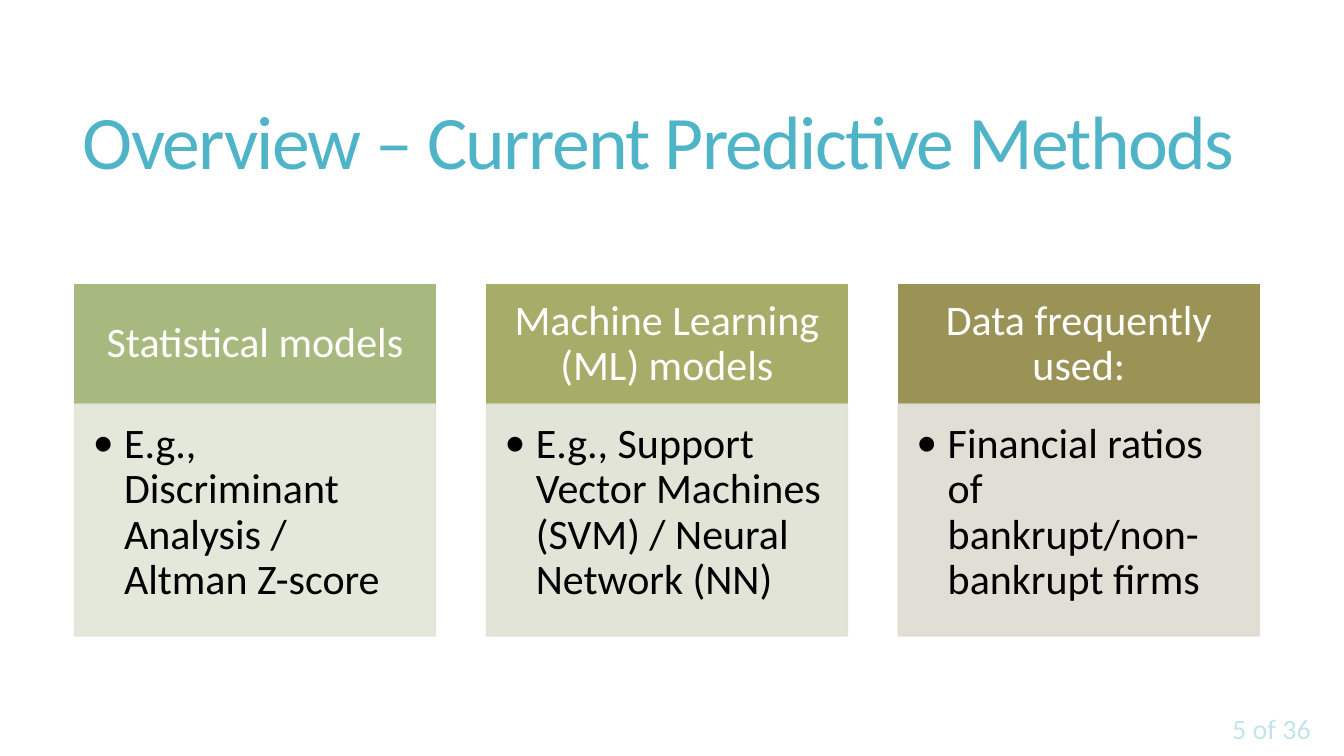
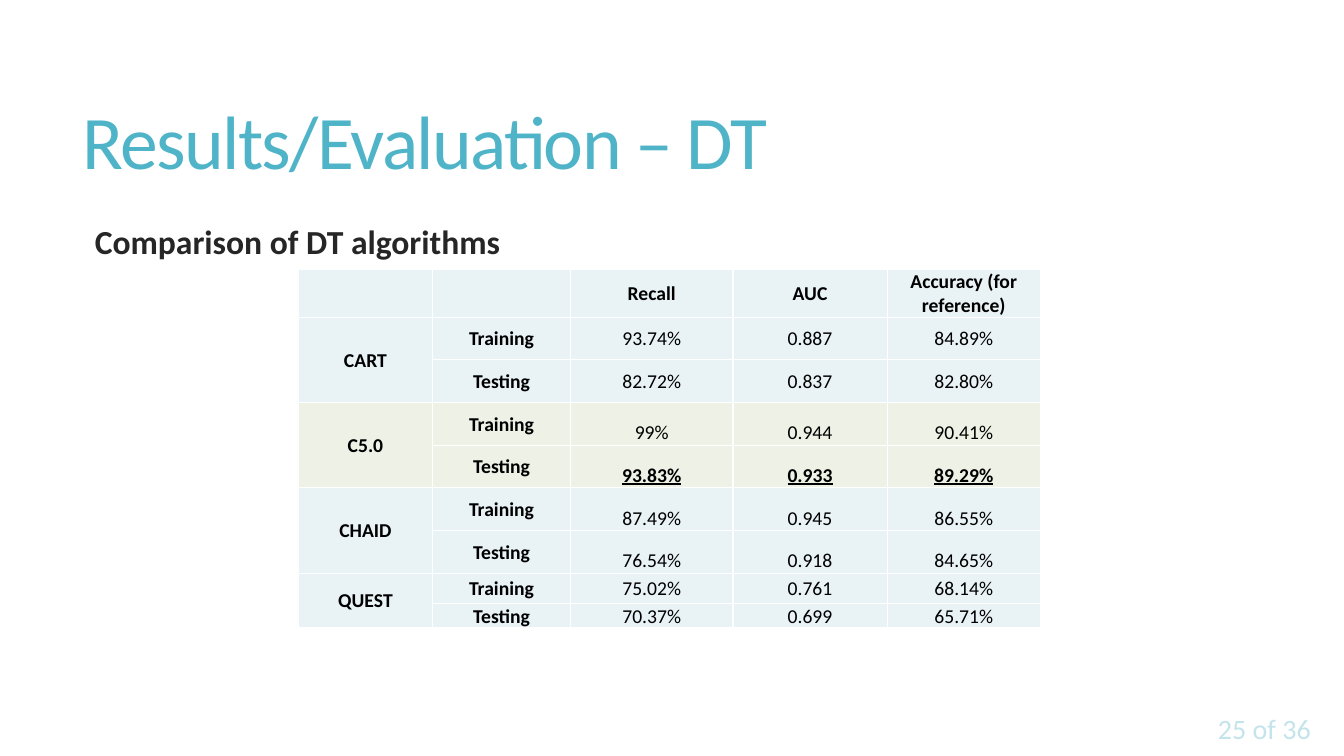
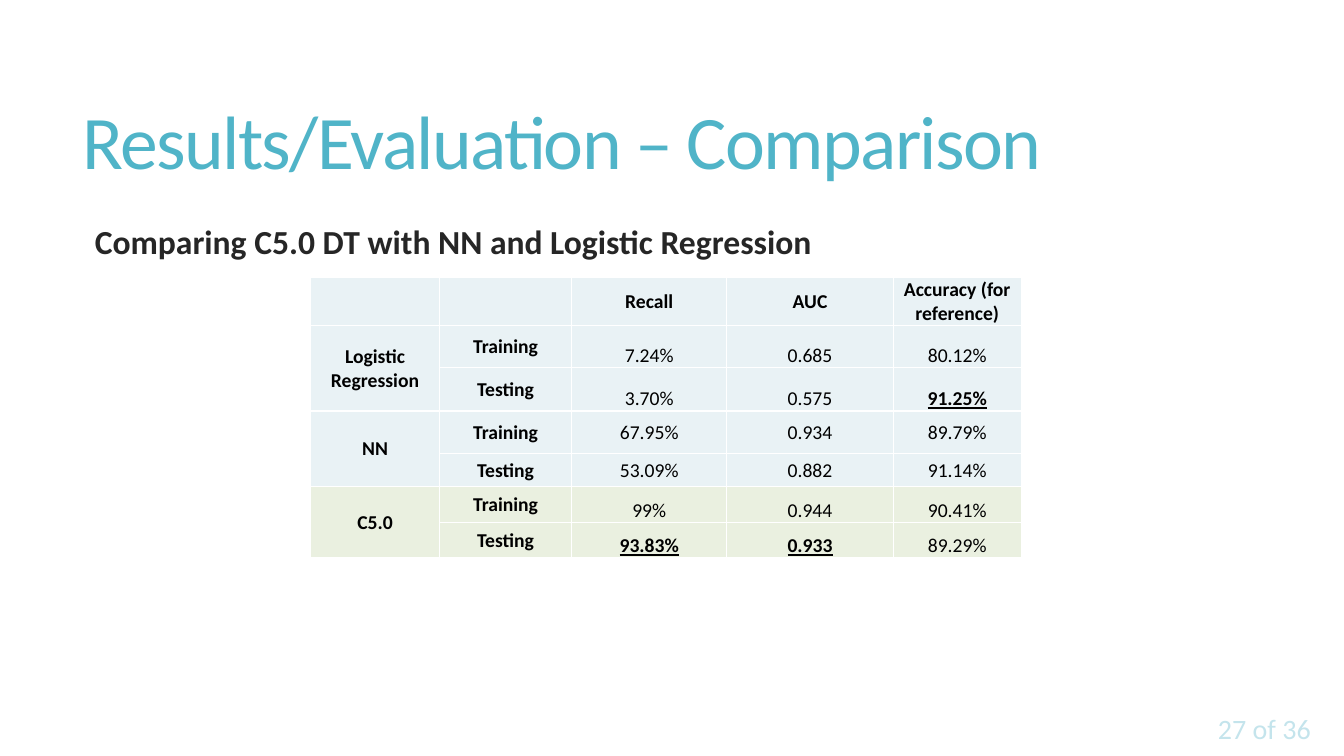
from lxml.etree import SubElement
from pptx import Presentation
from pptx.dml.color import RGBColor
from pptx.enum.shapes import MSO_SHAPE
from pptx.enum.text import MSO_ANCHOR, MSO_AUTO_SIZE, PP_ALIGN
from pptx.oxml.ns import qn
from pptx.util import Inches, Pt

COLORS = {
    "title": "50B4C8", "subtitle": "262626", "page": "C4E4EC",
    "white": "FFFFFF", "black": "000000",
    "plain": "E9F2F5", "best_dt": "EEF1E5", "best_model": "EAF0E0",
}
FONT = "Calibri"
TOTAL_PAGES = 36
MIDDLE, BOTTOM = MSO_ANCHOR.MIDDLE, MSO_ANCHOR.BOTTOM
HEADINGS = ["", "", "Recall", "AUC", "Accuracy (for reference)"]
PHASES = ["Training", "Testing"]

METHODS = [
    ("Statistical models", "E.g., Discriminant Analysis / Altman Z-score", "A8B97F", "E1E6D8"),
    ("Machine Learning (ML) models",
     "E.g., Support Vector Machines (SVM) / Neural Network (NN)", "A7AC68", "E1E2D4"),
    ("Data frequently used:", "Financial ratios of bankrupt/non-bankrupt firms", "9B9256", "DEDCD1"),
]

RESULTS = [
    {
        "title": "Results/Evaluation – DT", "page": 25,
        "subtitle": "Comparison of DT algorithms",
        "left": 2.96, "top": 2.67,
        "columns": [1.33, 1.37, 1.61, 1.53, 1.52],
        "rows": [0.44] + [0.42, 0.43, 0.42] * 2 + [0.3, 0.19],
        "best": {"93.83%", "0.933", "89.29%"},
        "models": [
            ("CART", "plain", MIDDLE, [["93.74%", "0.887", "84.89%"], ["82.72%", "0.837", "82.80%"]]),
            ("C5.0", "best_dt", BOTTOM, [["99%", "0.944", "90.41%"], ["93.83%", "0.933", "89.29%"]]),
            ("CHAID", "plain", BOTTOM, [["87.49%", "0.945", "86.55%"], ["76.54%", "0.918", "84.65%"]]),
            ("QUEST", "plain", MIDDLE, [["75.02%", "0.761", "68.14%"], ["70.37%", "0.699", "65.71%"]]),
        ],
    },
    {
        "title": "Results/Evaluation – Comparison", "page": 27,
        "subtitle": "Comparing C5.0 DT with NN and Logistic Regression",
        "left": 3.08, "top": 2.75,
        "columns": [1.28, 1.31, 1.54, 1.65, 1.27],
        "rows": [0.44, 0.42, 0.43, 0.42, 0.33, 0.36, 0.35],
        "best": {"91.25%", "93.83%", "0.933"},
        "models": [
            ("Logistic Regression", "plain", BOTTOM,
             [["7.24%", "0.685", "80.12%"], ["3.70%", "0.575", "91.25%"]]),
            ("NN", "plain", MIDDLE, [["67.95%", "0.934", "89.79%"], ["53.09%", "0.882", "91.14%"]]),
            ("C5.0", "best_model", BOTTOM, [["99%", "0.944", "90.41%"], ["93.83%", "0.933", "89.29%"]]),
        ],
    },
]


def rgb(color):
    return RGBColor.from_string(COLORS.get(color, color))


def set_all(target, values):
    for name, value in values.items():
        setattr(target, name, value)


def set_margins(target, left, top, right, bottom):
    set_all(target, {"margin_left": Inches(left), "margin_top": Inches(top),
                     "margin_right": Inches(right), "margin_bottom": Inches(bottom)})


def write(frame, text, size, color, spacing=1.0, align=PP_ALIGN.LEFT, **styles):
    paragraph = frame.paragraphs[0]
    set_all(paragraph, {"line_spacing": spacing, "alignment": align})
    run = paragraph.add_run()
    run.text = text
    set_all(run.font, {"name": FONT, "size": Pt(size), **styles})
    run.font.color.rgb = rgb(color)
    return paragraph


def add_text(slide, box, text, size, color, anchor=MSO_ANCHOR.TOP, **styles):
    frame = slide.shapes.add_textbox(*map(Inches, box)).text_frame
    set_all(frame, {"word_wrap": True, "vertical_anchor": anchor})
    write(frame, text, size, color, **styles)
    return frame


def add_slide(deck, title, page):
    slide = deck.slides.add_slide(deck.slide_layouts[5])
    heading = slide.shapes.title
    set_all(heading, {"left": Inches(0.72), "top": Inches(0.55),
                      "width": Inches(11.78), "height": Inches(1.81)})
    set_all(heading.text_frame, {"word_wrap": True, "vertical_anchor": MIDDLE,
                                 "auto_size": MSO_AUTO_SIZE.NONE})
    line = write(heading.text_frame, title, 54, "title", 0.85)
    line.runs[0].font._element.set("spc", "-120")
    add_text(slide, (11.1, 6.98, 2, 0.5), f"{page} of {TOTAL_PAGES}", 20, "page",
             MIDDLE, align=PP_ALIGN.RIGHT)
    return slide


def add_panel(slide, box, color, margins, anchor, opacity=100):
    panel = slide.shapes.add_shape(MSO_SHAPE.RECTANGLE, *map(Inches, box))
    panel.shadow.inherit = False
    panel.fill.solid()
    panel.line.width = Pt(1)
    panel.line.fill.solid()
    for fill in (panel.fill, panel.line.fill):
        fill.fore_color.rgb = rgb(color)
    if opacity < 100:
        for tint in panel._element.spPr.iter(qn("a:srgbClr")):
            SubElement(tint, qn("a:alpha"), val=str(opacity * 1000))
    set_all(panel.text_frame, {"word_wrap": True, "vertical_anchor": anchor})
    set_margins(panel.text_frame, *margins)
    return panel.text_frame


def add_methods(deck):
    slide = add_slide(deck, "Overview – Current Predictive Methods", 5)
    left, right, top, width, head, body = 0.74, 12.49, 2.82, 3.58, 1.19, 2.3
    pitch = (right - left - width) / (len(METHODS) - 1)
    for index, (name, example, head_color, body_color) in enumerate(METHODS):
        x = left + index * pitch
        header = add_panel(slide, (x, top, width, head), head_color,
                           (0.23, 0.13, 0.23, 0.13), MIDDLE)
        write(header, name, 30, "white", 0.9, PP_ALIGN.CENTER)
        details = add_panel(slide, (x, top + head, width, body), body_color,
                            (0.18, 0.18, 0.23, 0.26), MSO_ANCHOR.TOP, 90)
        bullet = write(details, example, 30, "black", 0.9)._p.get_or_add_pPr()
        bullet.set("marL", str(Inches(0.31)))
        bullet.set("indent", str(-Inches(0.31)))
        SubElement(bullet, qn("a:buFont"), typeface=FONT)
        SubElement(bullet, qn("a:buChar"), char="•")


def format_cell(cell, text, fill, anchor=MIDDLE, bold=True, underline=False):
    properties = cell._tc.get_or_add_tcPr()
    for side in ("lnL", "lnR", "lnT", "lnB"):
        border = SubElement(properties, qn(f"a:{side}"), w=str(Pt(1)))
        SubElement(SubElement(border, qn("a:solidFill")), qn("a:srgbClr"), val=COLORS["white"])
    cell.fill.solid()
    cell.fill.fore_color.rgb = rgb(fill)
    cell.vertical_anchor = anchor
    set_margins(cell, 0.01, 0.01, 0.01, 0)
    if text:
        write(cell.text_frame, text, 14, "black", align=PP_ALIGN.CENTER,
              bold=bold, underline=underline)


def add_results(deck, result):
    slide = add_slide(deck, result["title"], result["page"])
    subtitle = add_text(slide, (0.74, 2.2, 11.76, 0.45), result["subtitle"], 24, "subtitle",
                        spacing=0.85, bold=True)
    subtitle.margin_left = Inches(0.2)
    columns, rows = result["columns"], result["rows"]
    area = (result["left"], result["top"], sum(columns), sum(rows))
    table = slide.shapes.add_table(len(rows), len(columns), *map(Inches, area)).table
    set_all(table, {"first_row": False, "horz_banding": False})
    for column, width in zip(table.columns, columns):
        column.width = Inches(width)
    for row, height in zip(table.rows, rows):
        row.height = Inches(height)
    for column, heading in enumerate(HEADINGS):
        format_cell(table.cell(0, column), heading, "plain")
    for index, (model, fill, anchor, scores) in enumerate(result["models"]):
        first = 1 + index * len(PHASES)
        table.cell(first, 0).merge(table.cell(first + 1, 0))
        for offset, (phase, values) in enumerate(zip(PHASES, scores)):
            row = first + offset
            format_cell(table.cell(row, 0), "" if offset else model, fill)
            format_cell(table.cell(row, 1), phase, fill)
            for column, value in enumerate(values, 2):
                best = value in result["best"]
                format_cell(table.cell(row, column), value, fill, anchor, best, best)


def main():
    deck = Presentation()
    set_all(deck, {"slide_width": Inches(13.33), "slide_height": Inches(7.5)})
    add_methods(deck)
    for result in RESULTS:
        add_results(deck, result)
    deck.save("out.pptx")


if __name__ == "__main__":
    main()
